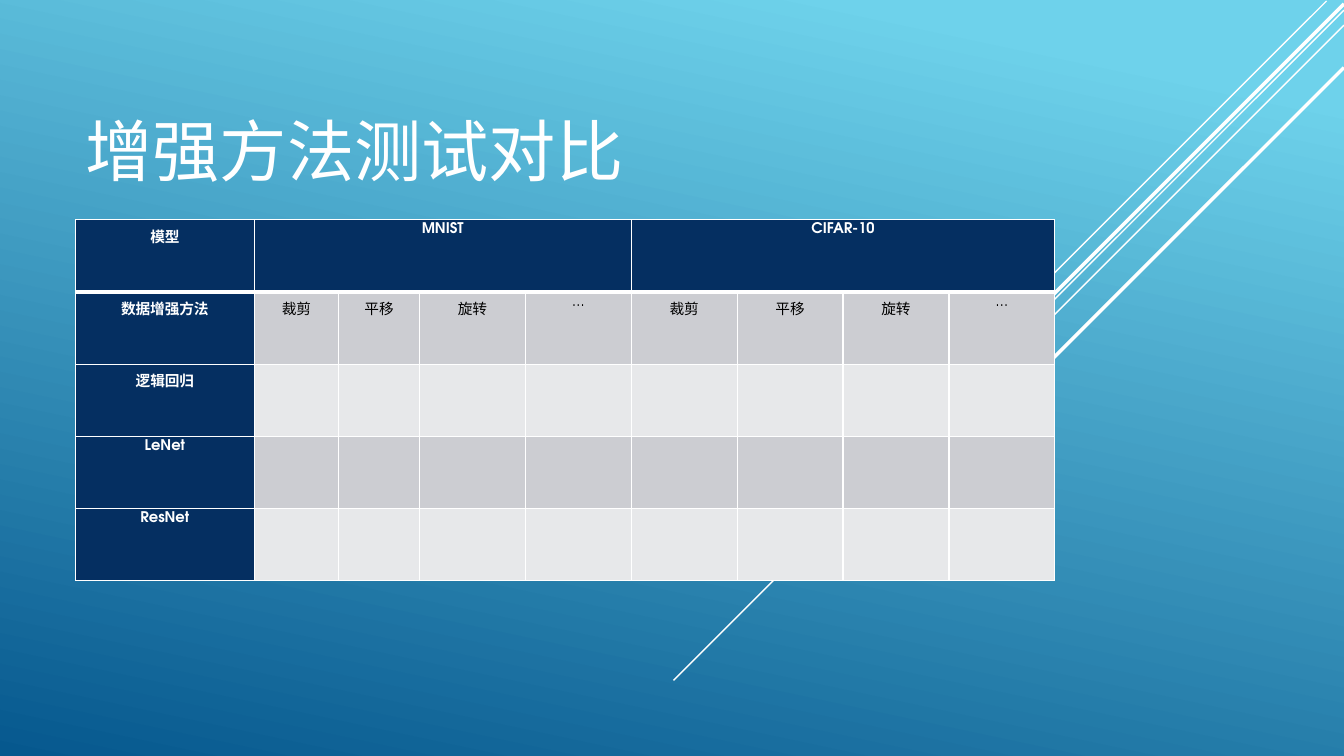
from lxml.etree import SubElement
from pptx import Presentation
from pptx.dml.color import RGBColor
from pptx.enum.shapes import MSO_CONNECTOR as Connector
from pptx.enum.text import MSO_ANCHOR as Anchor, PP_ALIGN as Align
from pptx.oxml.ns import qn
from pptx.util import Inches, Pt

WIDTH, HEIGHT = Inches(13.33), Inches(7.5)
FONT = "TeX Gyre Adventor"
COLORS = {
    "sky": "6ED2EB", "sea": "06588E", "white": "FFFFFF", "black": "000000",
    "navy": "052F61", "dark band": "CCCDD2", "light band": "E7E8EA",
}
RAYS = [
    (98.7, 0.13, 55.5, 1), (100, 1.33, 88.67, 1), (100, 3.33, 72.27, 1),
    (100, 0.53, 70.67, 2.5), (100, 8.93, 63.33, 2.5),
]
COLUMNS = [13.28, 6.3, 6] + [7.88] * 6
ROW_HEIGHT = 9.55
METHODS = ["裁剪", "平移", "旋转", "…"]
BLANKS = [""] * 8
ROWS = [
    ["模型", "MNIST", "", "", "", "CIFAR-10", "", "", ""],
    ["数据增强方法", *METHODS, *METHODS],
    ["逻辑回归", *BLANKS],
    ["LeNet", *BLANKS],
    ["ResNet", *BLANKS],
]


def across(percent):
    """Turn a percentage of the slide's width into a length."""
    return round(WIDTH * percent / 100)


def down(percent):
    """Turn a percentage of the slide's height into a length."""
    return round(HEIGHT * percent / 100)


def color(name):
    """Look up a named color."""
    return RGBColor.from_string(COLORS[name])


def set_font(para, size, ink, bold=False):
    """Set the font of a whole paragraph."""
    font = para.font
    font.name, font.size, font.bold = FONT, Pt(size), bold
    font.color.rgb = color(ink)


def paint_background(slide):
    """Fill the background with a slanted gradient."""
    fill = slide.background.fill
    fill.gradient()
    fill.gradient_angle = 258
    stops = zip(fill.gradient_stops, [(0.1, "sky"), (1, "sea")])
    for stop, (position, name) in stops:
        stop.position = position
        stop.color.rgb = color(name)


def add_ray(slide, right, top, drop, weight):
    """Draw a white line falling to the left at 45 degrees."""
    x, y, run = across(right), down(top), down(drop)
    ray = slide.shapes.add_connector(Connector.STRAIGHT, x, y, x - run, y + run)
    ray.line.color.rgb = color("white")
    ray.line.width = Pt(weight)
    SubElement(ray._element.spPr, qn("a:effectLst"))


def add_title(slide, text):
    """Add the title, resting on the bottom of its box."""
    box = slide.shapes.add_textbox(across(5.63), down(10), across(65.63), down(15.73))
    frame = box.text_frame
    frame.word_wrap = True
    frame.vertical_anchor = Anchor.BOTTOM
    frame.text = text
    set_font(frame.paragraphs[0], 48, "white")


def add_borders(cell, top, bottom):
    """Give a cell white borders, with the top and bottom weights in points."""
    properties = cell._tc.get_or_add_tcPr()
    for side, weight in [("L", 1), ("R", 1), ("T", top), ("B", bottom)]:
        line = SubElement(properties, qn(f"a:ln{side}"), w=str(Pt(weight)))
        fill = SubElement(line, qn("a:solidFill"))
        SubElement(fill, qn("a:srgbClr"), val=COLORS["white"])


def style_cell(cell, text, row, column):
    """Write a cell and style it by its place in the table."""
    heading = row == 0 or column == 0
    add_borders(cell, 3 if row == 1 else 1, 3 if row == 0 else 1)
    band = "dark band" if row % 2 else "light band"
    cell.fill.solid()
    cell.fill.fore_color.rgb = color("navy" if heading else band)
    cell.margin_left = cell.margin_right = Inches(0.07)
    cell.margin_top = cell.margin_bottom = 0
    cell.text = text
    para = cell.text_frame.paragraphs[0]
    para.alignment = Align.CENTER
    para.line_spacing = 1.25
    set_font(para, 10.5, "white" if heading else "black", heading)


def add_comparison(slide):
    """Add the table of models against augmentation methods."""
    table = slide.shapes.add_table(
        len(ROWS), len(COLUMNS), across(5.63), down(29.07),
        across(sum(COLUMNS)), down(ROW_HEIGHT * len(ROWS)),
    ).table
    for column, share in zip(table.columns, COLUMNS):
        column.width = across(share)
    for row, texts in enumerate(ROWS):
        table.rows[row].height = down(ROW_HEIGHT)
        for column, text in enumerate(texts):
            style_cell(table.cell(row, column), text, row, column)
    for first in (1, 5):
        table.cell(0, first).merge(table.cell(0, first + len(METHODS) - 1))


def main():
    """Build the slide and save it."""
    deck = Presentation()
    deck.slide_width, deck.slide_height = WIDTH, HEIGHT
    slide = deck.slides.add_slide(deck.slide_layouts[6])
    paint_background(slide)
    for ray in RAYS:
        add_ray(slide, *ray)
    add_title(slide, "增强方法测试对比")
    add_comparison(slide)
    deck.save("out.pptx")


if __name__ == "__main__":
    main()
